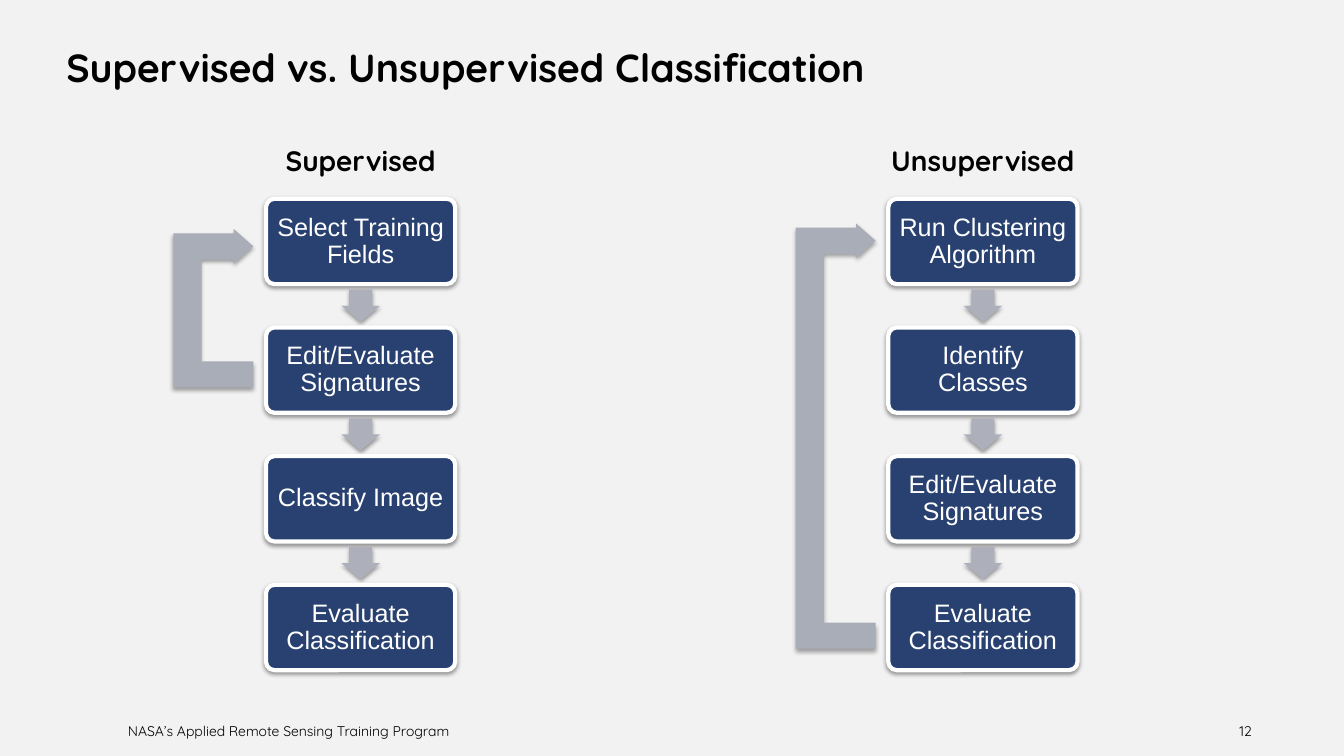
from lxml import etree
from pptx import Presentation
from pptx.dml.color import RGBColor
from pptx.enum.shapes import MSO_SHAPE as SHAPE
from pptx.enum.text import MSO_ANCHOR as ANCHOR, PP_ALIGN as ALIGN
from pptx.oxml import parse_xml
from pptx.util import Pt

NS = "http://schemas.openxmlformats.org/drawingml/2006/main"
NAVY, ARROW, LOOP, WHITE, BLACK = "294171", "ADB0BB", "A9ADB7", "FFFFFF", "000000"
BOX_W, BOX_H, BOX_TOP, PITCH = 135.2, 61, 142, 91.9
ARROW_W, ARROW_H = 27.4, 23


def style(sp, fill, alpha):
    """Fill the shape and give it a soft shadow straight below."""
    sp.fill.solid()
    sp.fill.fore_color.rgb = RGBColor.from_string(fill)
    sp.line.fill.background()
    sp.shadow.inherit = False
    effects = sp._element.spPr.find(f"{{{NS}}}effectLst")
    effects.append(parse_xml(
        f'<a:outerShdw xmlns:a="{NS}" blurRad="{Pt(3.1)}" dist="{Pt(1.7)}" '
        f'dir="5400000" algn="ctr" rotWithShape="0"><a:srgbClr val="{BLACK}">'
        f'<a:alpha val="{alpha * 1000}"/></a:srgbClr></a:outerShdw>'))


def write(sp, text, size, color=BLACK, name="Quicksand", bold=False,
          align=ALIGN.LEFT, anchor=ANCHOR.TOP, inset=9.36):
    tf = sp.text_frame
    frame = {"word_wrap": True, "vertical_anchor": anchor,
             "margin_left": Pt(inset), "margin_right": Pt(inset),
             "margin_top": Pt(5), "margin_bottom": Pt(5)}
    for key, value in frame.items():
        setattr(tf, key, value)
    p = tf.paragraphs[0]
    p.alignment = align
    r = p.add_run()
    r.text = text
    for key, value in {"name": name, "size": Pt(size), "bold": bold}.items():
        setattr(r.font, key, value)
    r.font.color.rgb = RGBColor.from_string(color)
    return p


prs = Presentation()
prs.slide_width, prs.slide_height = Pt(960), Pt(540)
s = prs.slides.add_slide(prs.slide_layouts[5])
s.background.fill.solid()
s.background.fill.fore_color.rgb = RGBColor.from_string("F2F2F2")

title = s.shapes.title
for key, value in {"left": 38, "top": 25.2, "width": 884, "height": 45.4}.items():
    setattr(title, key, Pt(value))
write(title, "Supervised vs. Unsupervised Classification", 28, bold=True,
      anchor=ANCHOR.MIDDLE)

footers = [
    ("NASA’s Applied Remote Sensing Training Program", 82, 309, ALIGN.LEFT),
    ("12", 849, 54.5, ALIGN.RIGHT),
]
for text, left, width, align in footers:
    sp = s.shapes.add_textbox(Pt(left), Pt(511), Pt(width), Pt(22))
    write(sp, text, 10, align=align)

# heading, left edge of the boxes, height of the loop's tip and tail, steps
flows = [
    ("Supervised", 190, 176, 267.5,
     ["Select Training Fields", "Edit/Evaluate Signatures",
      "Classify Image", "Evaluate Classification"]),
    ("Unsupervised", 634.5, 172, 454,
     ["Run Clustering Algorithm", "Identify Classes",
      "Edit/Evaluate Signatures", "Evaluate Classification"]),
]
for heading, left, tip, tail, steps in flows:
    center = left + BOX_W / 2
    sp = s.shapes.add_textbox(Pt(center - 100), Pt(97.2), Pt(200), Pt(35))
    write(sp, heading, 20, bold=True, align=ALIGN.CENTER)

    for i, step in enumerate(steps):
        top = BOX_TOP + i * PITCH
        box = s.shapes.add_shape(SHAPE.ROUNDED_RECTANGLE, Pt(left), Pt(top),
                                 Pt(BOX_W), Pt(BOX_H))
        box.adjustments[0] = 0.1
        style(box, NAVY, 38)
        box.line.color.rgb = RGBColor.from_string(WHITE)
        box.line.width = Pt(3)
        p = write(box, step, 18, WHITE, "Arial", align=ALIGN.CENTER,
                  anchor=ANCHOR.MIDDLE, inset=6)
        p.line_spacing = 0.9

        if i < len(steps) - 1:
            middle = top + (BOX_H + PITCH) / 2
            arrow = s.shapes.add_shape(
                SHAPE.DOWN_ARROW, Pt(center - ARROW_W / 2),
                Pt(middle - ARROW_H / 2), Pt(ARROW_W), Pt(ARROW_H))
            arrow.adjustments[0], arrow.adjustments[1] = 0.6, 0.5
            style(arrow, ARROW, 38)

    outer, inner, neck, end = left - 66.2, left - 46, left - 23, left - 9
    outline = [(outer, tip - 9.3), (neck, tip - 9.3), (neck, tip - 12.4),
               (end, tip), (neck, tip + 12.4), (neck, tip + 9.5),
               (inner, tip + 9.5), (inner, tail - 9.3), (end, tail - 9.3),
               (end, tail + 9.3), (outer, tail + 9.3)]
    points = [(Pt(x), Pt(y)) for x, y in outline]
    path_builder = s.shapes.build_freeform(*points[0])
    path_builder.add_line_segments(points[1:], close=True)
    style(path_builder.convert_to_shape(), LOOP, 35)

prs.save("out.pptx")
